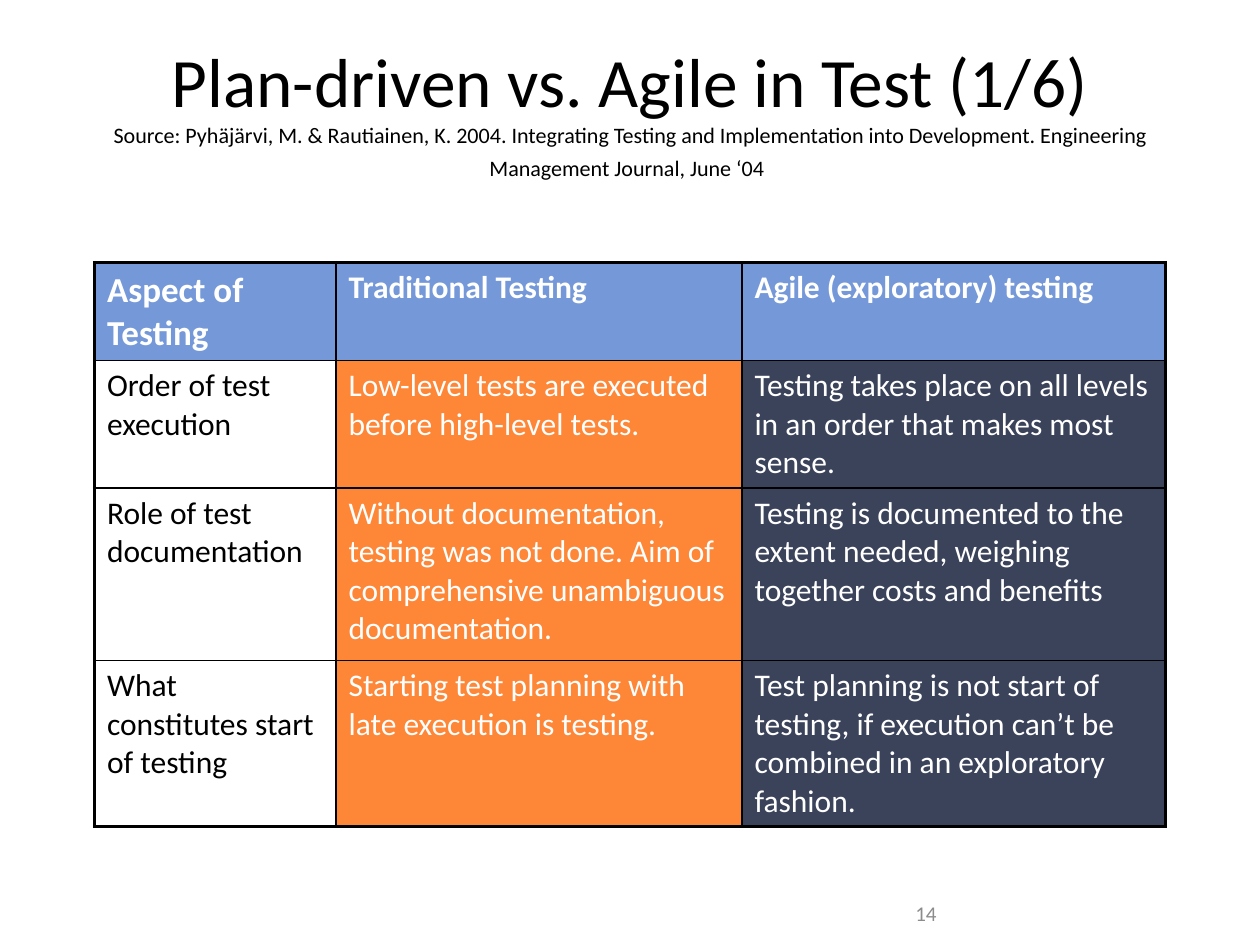
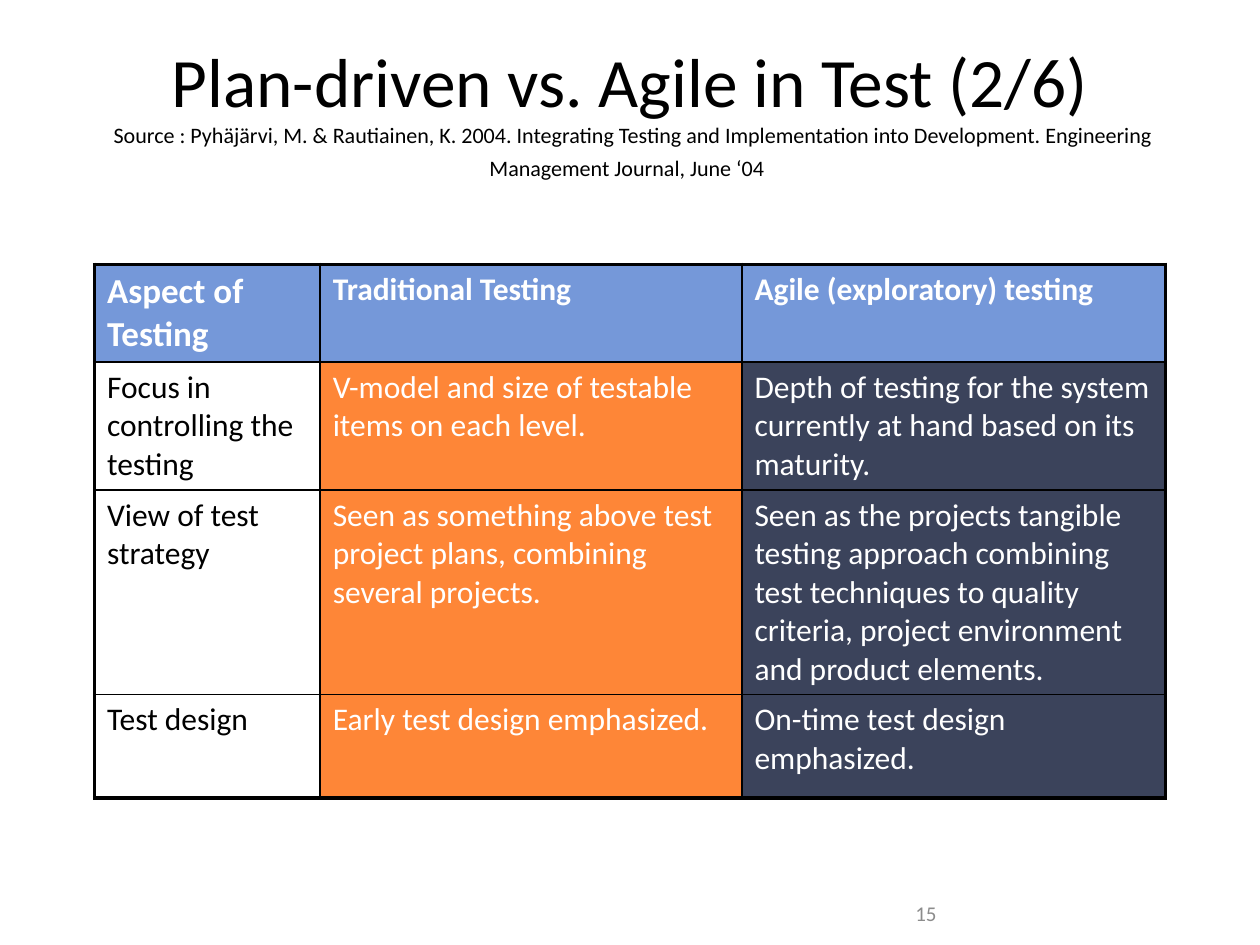
"""Builds two table slides comparing plan-driven and agile testing."""
from dataclasses import dataclass

from lxml import etree
from pptx import Presentation
from pptx.dml.color import RGBColor
from pptx.enum.text import MSO_ANCHOR, PP_ALIGN
from pptx.oxml.ns import qn
from pptx.util import Pt

BLACK = RGBColor(0x00, 0x00, 0x00)
WHITE = RGBColor(0xFF, 0xFF, 0xFF)
GREY = RGBColor(0x8C, 0x8C, 0x8C)
BLUE = RGBColor(0x75, 0x98, 0xD9)
ORANGE = RGBColor(0xFE, 0x86, 0x37)
NAVY = RGBColor(0x3B, 0x43, 0x5B)
CENTER, LEFT = PP_ALIGN.CENTER, PP_ALIGN.LEFT
MIDDLE = MSO_ANCHOR.MIDDLE

FONT = "Calibri"
MARGIN, CONTENT_WIDTH = 54, 612
OUTER_LINE, INNER_LINE = 2.25, 1
HEADINGS = ("Aspect of Testing", "Traditional Testing", "Agile (exploratory) testing")
BODY_COLUMNS = ((WHITE, BLACK), (ORANGE, WHITE), (NAVY, WHITE))
CITATION = (
    "Pyhäjärvi, M. & Rautiainen, K. 2004. Integrating Testing and Implementation "
    "into Development. Engineering Management Journal, June ‘04"
)


@dataclass(frozen=True)
class Comparison:
    """One slide's title, source label, number and table."""
    title: str
    source_label: str
    number: int
    table_top: float
    column_widths: tuple[float, ...]
    row_heights: tuple[float, ...]
    rows: tuple[tuple[str, str, str], ...]


COMPARISONS = (
    Comparison(
        "Plan-driven vs. Agile in Test (1/6)", "Source: ", 14, 150,
        (138, 232, 242), (56, 73, 98.5, 95),
        (
            ("Order of test execution",
             "Low-level tests are executed before high-level tests.",
             "Testing takes place on all levels in an order that makes most sense."),
            ("Role of test documentation",
             "Without documentation, testing was not done. Aim of comprehensive "
             "unambiguous documentation.",
             "Testing is documented to the extent needed, weighing together costs "
             "and benefits"),
            ("What constitutes start of testing",
             "Starting test planning with late execution is testing.",
             "Test planning is not start of testing, if execution can’t be combined "
             "in an exploratory fashion."),
        ),
    ),
    Comparison(
        "Plan-driven vs. Agile in Test (2/6)", " Source : ", 15, 151,
        (129, 241, 242), (56, 73, 117, 59),
        (
            ("Focus in controlling the testing",
             "V-model and size of testable items on each level.",
             "Depth of testing for the system currently at hand based on its maturity."),
            ("View of test strategy",
             "Seen as something above test project plans, combining several projects.",
             "Seen as the projects tangible testing approach combining test techniques "
             "to quality criteria, project environment and product elements."),
            ("Test design",
             "Early test design emphasized.",
             "On-time test design emphasized."),
        ),
    ),
)


def add_text(para, text: str, *, size: float, color: RGBColor = BLACK,
             bold: bool = False, align: PP_ALIGN = LEFT) -> None:
    """Append a formatted span to a paragraph."""
    para.alignment = align
    span = para.add_run()
    span.text = text
    span.font.name = FONT
    span.font.size = Pt(size)
    span.font.bold = bold
    span.font.color.rgb = color


def add_box(page, left: float, top: float, width: float, height: float):
    """Add a wrapping, middle-anchored text box and return its paragraph."""
    box = page.shapes.add_textbox(Pt(left), Pt(top), Pt(width), Pt(height))
    box.text_frame.word_wrap = True
    box.text_frame.vertical_anchor = MIDDLE
    return box.text_frame.paragraphs[0]


def add_title(page, comparison: Comparison) -> None:
    """Add the title with its source citation below."""
    para = add_box(page, MARGIN, 18, CONTENT_WIDTH, 90)
    add_text(para, comparison.title, size=39.6, align=CENTER)
    para.add_line_break()
    add_text(para, comparison.source_label + CITATION, size=12.6, align=CENTER)
    add_text(para, " ", size=16.2, align=CENTER)


def set_borders(cell, widths: dict[str, float]) -> None:
    """Draw black cell borders, given a width for each side."""
    properties = cell._tc.get_or_add_tcPr()
    for side, width in widths.items():
        line = etree.SubElement(properties, qn(f"a:ln{side}"), w=str(Pt(width)))
        fill = etree.SubElement(line, qn("a:solidFill"))
        etree.SubElement(fill, qn("a:srgbClr"), val=str(BLACK))


def add_table(page, comparison: Comparison) -> None:
    """Add the comparison table with a heavy outer frame."""
    rows = (HEADINGS, *comparison.rows)
    last_row, last_column = len(rows) - 1, len(HEADINGS) - 1
    table = page.shapes.add_table(
        len(rows), len(HEADINGS), Pt(MARGIN), Pt(comparison.table_top),
        Pt(CONTENT_WIDTH), Pt(sum(comparison.row_heights))).table
    table.first_row = table.horz_banding = False
    for column, width in zip(table.columns, comparison.column_widths):
        column.width = Pt(width)
    for row, height in zip(table.rows, comparison.row_heights):
        row.height = Pt(height)
    for r, texts in enumerate(rows):
        for c, text in enumerate(texts):
            heading = r == 0
            fill, color = (BLUE, WHITE) if heading else BODY_COLUMNS[c]
            on_edge = {"L": c == 0, "R": c == last_column, "T": heading, "B": r == last_row}
            cell = table.cell(r, c)
            set_borders(cell, {side: OUTER_LINE if edge else INNER_LINE
                               for side, edge in on_edge.items()})
            cell.fill.solid()
            cell.fill.fore_color.rgb = fill
            add_text(cell.text_frame.paragraphs[0], text, color=color, bold=heading,
                     size=20 if heading and c == 0 else 18)


def main() -> None:
    """Build and save the deck."""
    deck = Presentation()
    deck.slide_width, deck.slide_height = Pt(720), Pt(540)
    blank = deck.slide_layouts[6]
    for comparison in COMPARISONS:
        page = deck.slides.add_slide(blank)
        add_title(page, comparison)
        add_table(page, comparison)
        number = add_box(page, 516, 516, 150, 12)
        add_text(number, str(comparison.number), size=12, color=GREY)
    deck.save("out.pptx")


if __name__ == "__main__":
    main()
